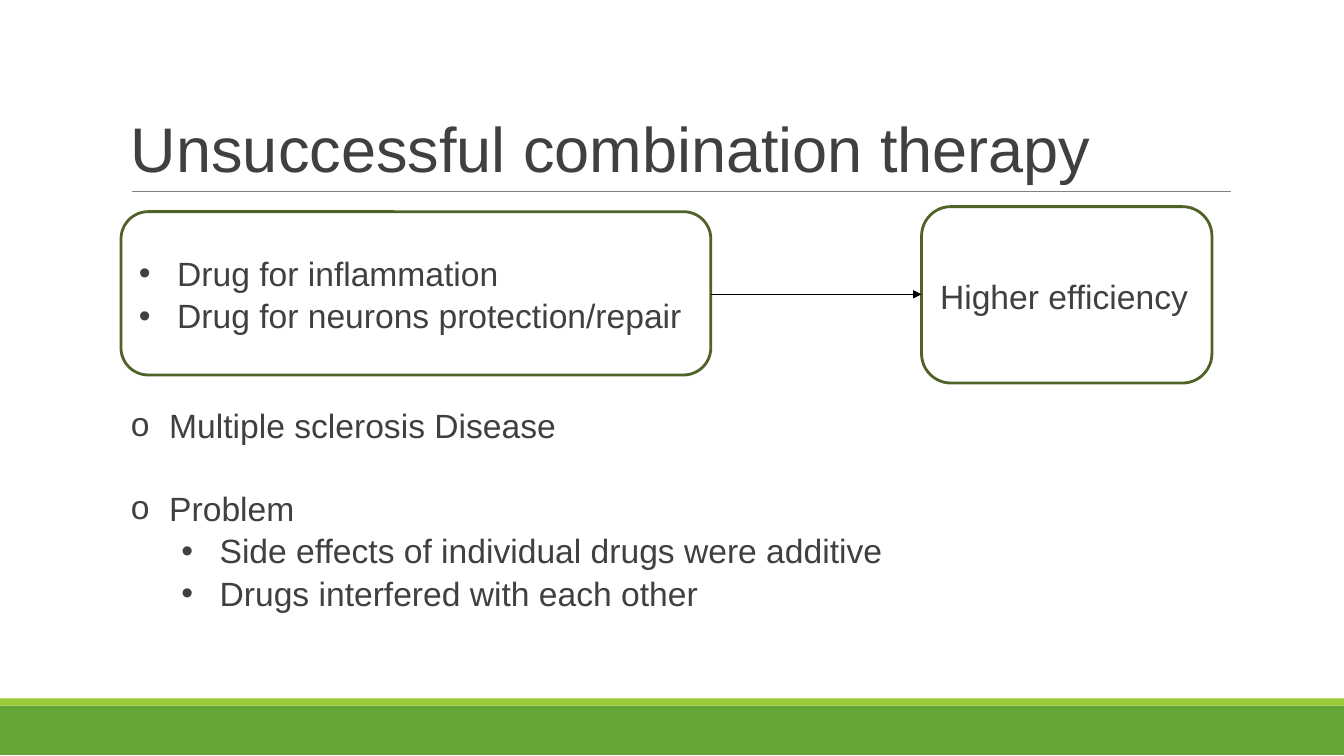
"""Build the slide on unsuccessful combination therapy."""
from lxml.etree import SubElement
from pptx import Presentation
from pptx.dml.color import RGBColor
from pptx.enum.shapes import MSO_CONNECTOR, MSO_SHAPE
from pptx.enum.text import MSO_ANCHOR, PP_ALIGN
from pptx.oxml.ns import qn
from pptx.util import Inches, Pt

INK = RGBColor(0x40, 0x40, 0x40)
WHITE = RGBColor(0xFF, 0xFF, 0xFF)
BLACK = RGBColor(0, 0, 0)
GRAY = RGBColor(0x80, 0x80, 0x80)
OLIVE = RGBColor(0x4F, 0x62, 0x28)
GREEN = RGBColor(0x63, 0xA5, 0x37)
LIME = RGBColor(0x99, 0xCB, 0x38)

WIDE, HIGH = 13.33, 7.5
LEFT, SPAN = 1.2, 10.99
HANG = 0.38
BODY = {"size": 24, "line_spacing": 1.05}
HEAD = {"size": 45, "line_spacing": 0.85}

TITLE = [("Unsuccessful combination therapy", "", 0, 0)]
DRUGS = [
    ("Drug for inflammation", "•", 0, 0),
    ("Drug for neurons protection/repair", "•", 0, 0),
]
GAIN = [("Higher efficiency", "", 0, 0)]
NOTES = [
    ("Multiple sclerosis Disease", "o", 0, 0),
    ("Problem", "o", 0, 29),
    ("Side effects of individual drugs were additive", "•", 1, 0),
    ("Drugs interfered with each other", "•", 1, 0),
]
BANDS = [((0, 7, WIDE, 0.49), GREEN), ((0, 6.93, WIDE, 0.07), LIME)]
CARDS = [((LEFT, 2.1, 5.85, 1.62), DRUGS), ((9.14, 2.05, 2.88, 1.75), GAIN)]
TEXTS = [
    ((LEFT, 0.31, SPAN, 1.58), TITLE, HEAD, MSO_ANCHOR.BOTTOM),
    ((LEFT, 3.95, SPAN, 2.93), NOTES, BODY, MSO_ANCHOR.TOP),
]


def write(shape, lines, look, anchor):
    """Fill a shape with lines of (text, bullet, level, gap above)."""
    frame = shape.text_frame
    frame.word_wrap = True
    frame.vertical_anchor = anchor
    for i, (text, mark, level, gap) in enumerate(lines):
        para = frame.paragraphs[0] if i == 0 else frame.add_paragraph()
        form = {"alignment": PP_ALIGN.LEFT, "level": level,
                "space_before": Pt(gap), "line_spacing": look["line_spacing"]}
        for name, value in form.items():
            setattr(para, name, value)
        if mark:
            props = para._p.get_or_add_pPr()
            props.set("marL", str(Inches(HANG + level / 2)))
            props.set("indent", str(-Inches(HANG)))
            SubElement(props, qn("a:buFont"), typeface="Arial")
            SubElement(props, qn("a:buChar"), char=mark)
        run = para.add_run()
        run.text = text
        for name, value in {"name": "Arial", "size": Pt(look["size"])}.items():
            setattr(run.font, name, value)
        run.font.color.rgb = INK


def block(slide, kind, box, fill, edge=None):
    """Add a filled shape, outlined when an edge colour is given."""
    shape = slide.shapes.add_shape(kind, *map(Inches, box))
    shape.shadow.inherit = False
    shape.fill.solid()
    shape.fill.fore_color.rgb = fill
    if edge is None:
        shape.line.fill.background()
    else:
        shape.line.color.rgb = edge
        shape.line.width = Pt(2)
    return shape


def rule(slide, start, end, color, width):
    """Add a straight line without shadow."""
    line = slide.shapes.add_connector(
        MSO_CONNECTOR.STRAIGHT, *map(Inches, start + end))
    line.line.color.rgb = color
    line.line.width = Pt(width)
    SubElement(line._element.spPr, qn("a:effectLst"))
    return line


deck = Presentation()
deck.slide_width, deck.slide_height = Inches(WIDE), Inches(HIGH)
slide = deck.slides.add_slide(deck.slide_layouts[6])

for box, fill in BANDS:
    block(slide, MSO_SHAPE.RECTANGLE, box, fill)
rule(slide, (1.31, 1.9), (12.21, 1.9), GRAY, 0.51)
for box, lines in CARDS:
    card = block(slide, MSO_SHAPE.ROUNDED_RECTANGLE, box, WHITE, OLIVE)
    write(card, lines, BODY, MSO_ANCHOR.MIDDLE)
for box, lines, look, anchor in TEXTS:
    area = slide.shapes.add_textbox(*map(Inches, box))
    write(area, lines, look, anchor)
arrow = rule(slide, (7.05, 2.92), (9.14, 2.92), BLACK, 0.75)
SubElement(arrow.line._get_or_add_ln(), qn("a:tailEnd"), type="triangle")

deck.save("out.pptx")
